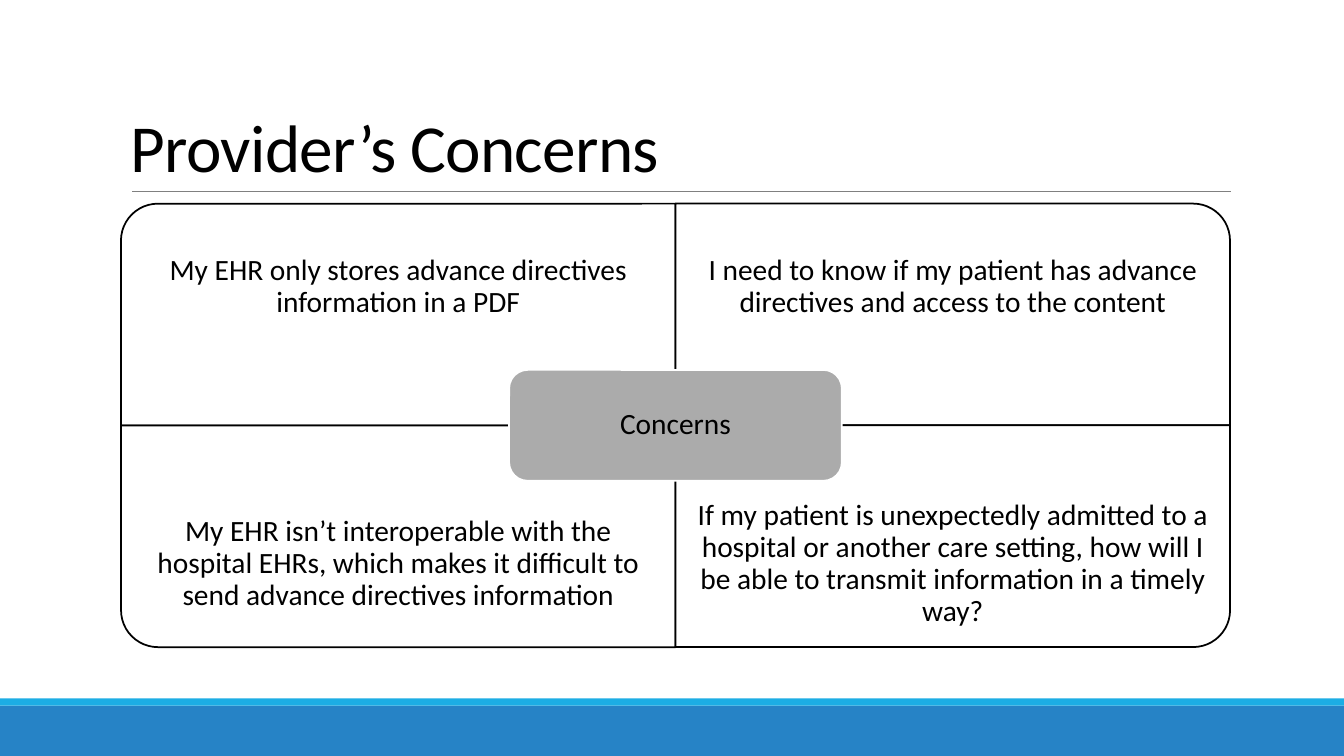
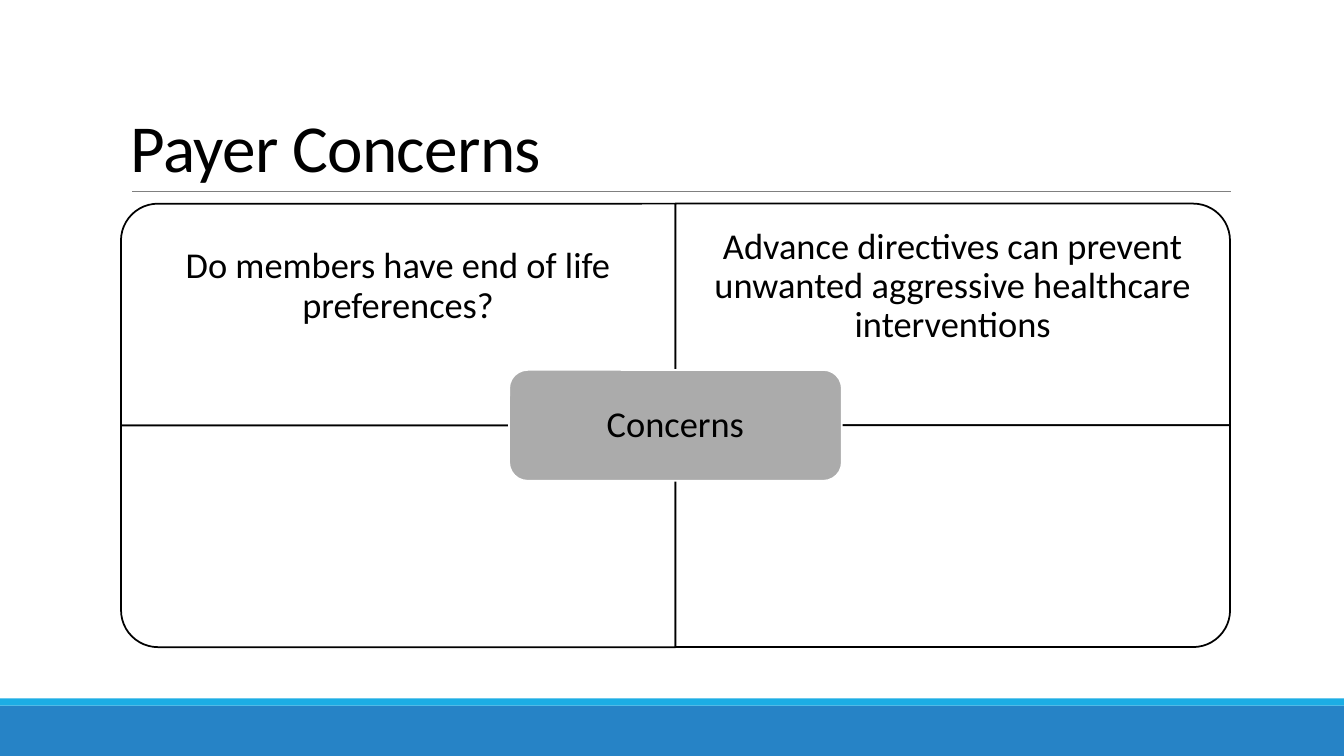
from pptx import Presentation
from pptx.dml.color import RGBColor
from pptx.enum.shapes import MSO_CONNECTOR, MSO_SHAPE
from pptx.enum.text import MSO_ANCHOR, PP_ALIGN
from pptx.oxml.ns import qn
from pptx.util import Inches, Pt
from lxml.etree import SubElement

BLACK = RGBColor(0x00, 0x00, 0x00)
WHITE = RGBColor(0xFF, 0xFF, 0xFF)
GRAY = RGBColor(0xAB, 0xAB, 0xAB)
RULE_GRAY = RGBColor(0x80, 0x80, 0x80)
BLUE = RGBColor(0x26, 0x83, 0xC6)
LIGHT_BLUE = RGBColor(0x1C, 0xAD, 0xE4)
FONT = "Calibri"

SLIDE_WIDTH = 13.33
MATRIX_LEFT, MATRIX_TOP = 1.2, 2.02
CELL_WIDTH, CELL_HEIGHT = 5.5, 2.2
TEXT_HEIGHT = 0.75 * CELL_HEIGHT
CENTER_WIDTH, CENTER_HEIGHT = 0.6 * CELL_WIDTH, 0.5 * CELL_HEIGHT
ROTATIONS = [270, 0, 180, 90]  # turns the one rounded corner outwards

# Title, text size, cell inset, center inset, quadrant texts row by row
SLIDES = [
    ("Provider’s Concerns", 21, 0.16, 0.14, [
        "My EHR only stores advance directives information in a PDF",
        "I need to know if my patient has advance directives and access to the content",
        "My EHR isn’t interoperable with the hospital EHRs, which makes it difficult "
        "to send advance directives information",
        "If my patient is unexpectedly admitted to a hospital or another care setting, "
        "how will I be able to transmit information in a timely way?",
    ]),
    ("Payer Concerns", 26, 0.2, 0.16, [
        "Do members have end of life preferences?",
        "Advance directives can prevent unwanted aggressive healthcare interventions",
        "",
        "",
    ]),
]


def add_box(slide, kind, left, top, width, height, fill, line=None):
    shape = slide.shapes.add_shape(
        kind, Inches(left), Inches(top), Inches(width), Inches(height))
    shape.shadow.inherit = False
    shape.fill.solid()
    shape.fill.fore_color.rgb = fill
    if line is None:
        shape.line.fill.background()
    else:
        shape.line.color.rgb = line
        shape.line.width = Pt(1.25)
    return shape


def write_text(shape, text, size, inset, anchor=MSO_ANCHOR.MIDDLE,
               alignment=PP_ALIGN.CENTER, spacing=0.9):
    """Fill a shape with one paragraph; inset is (horizontal, vertical) in inches."""
    frame = shape.text_frame
    frame.word_wrap = True
    frame.vertical_anchor = anchor
    frame.margin_left = frame.margin_right = Inches(inset[0])
    frame.margin_top = frame.margin_bottom = Inches(inset[1])
    paragraph = frame.paragraphs[0]
    paragraph.alignment = alignment
    paragraph.line_spacing = spacing
    paragraph.font.name = FONT
    paragraph.font.size = Pt(size)
    paragraph.font.color.rgb = BLACK
    run = paragraph.add_run()
    run.text = text
    return run


presentation = Presentation()
presentation.slide_width = Inches(SLIDE_WIDTH)
presentation.slide_height = Inches(7.5)

for title, size, cell_inset, center_inset, quadrants in SLIDES:
    slide = presentation.slides.add_slide(presentation.slide_layouts[6])

    add_box(slide, MSO_SHAPE.RECTANGLE, 0, 7, SLIDE_WIDTH, 0.5, BLUE)
    add_box(slide, MSO_SHAPE.RECTANGLE, 0, 6.93, SLIDE_WIDTH, 0.07, LIGHT_BLUE)
    rule = slide.shapes.add_connector(
        MSO_CONNECTOR.STRAIGHT, Inches(1.31), Inches(1.9), Inches(12.21), Inches(1.9))
    rule.line.color.rgb = RULE_GRAY
    rule.line.width = Pt(0.5)
    SubElement(rule._element.spPr, qn("a:effectLst"))

    title_box = slide.shapes.add_textbox(
        Inches(MATRIX_LEFT), Inches(0.31), Inches(11), Inches(1.59))
    title_run = write_text(title_box, title, 48, (0.1, 0.05),
                           MSO_ANCHOR.BOTTOM, PP_ALIGN.LEFT, 0.85)
    title_run._r.get_or_add_rPr().set("spc", "-50")

    for index, (text, rotation) in enumerate(zip(quadrants, ROTATIONS)):
        row, column = divmod(index, 2)
        left = MATRIX_LEFT + column * CELL_WIDTH
        top = MATRIX_TOP + row * CELL_HEIGHT
        # A quarter turn swaps the sides around the cell's center
        sideways = rotation in (90, 270)
        width, height = (CELL_HEIGHT, CELL_WIDTH) if sideways else (CELL_WIDTH, CELL_HEIGHT)
        cell = add_box(slide, MSO_SHAPE.ROUND_1_RECTANGLE,
                       left + (CELL_WIDTH - width) / 2, top + (CELL_HEIGHT - height) / 2,
                       width, height, WHITE, BLACK)
        cell.rotation = rotation
        if text:
            text_top = top + row * (CELL_HEIGHT - TEXT_HEIGHT)
            text_box = slide.shapes.add_textbox(
                Inches(left), Inches(text_top), Inches(CELL_WIDTH), Inches(TEXT_HEIGHT))
            write_text(text_box, text, size, (cell_inset, cell_inset))

    center = add_box(slide, MSO_SHAPE.ROUNDED_RECTANGLE,
                     MATRIX_LEFT + CELL_WIDTH - CENTER_WIDTH / 2,
                     MATRIX_TOP + CELL_HEIGHT - CENTER_HEIGHT / 2,
                     CENTER_WIDTH, CENTER_HEIGHT, GRAY, WHITE)
    write_text(center, "Concerns", size, (center_inset, center_inset))

presentation.save("out.pptx")
